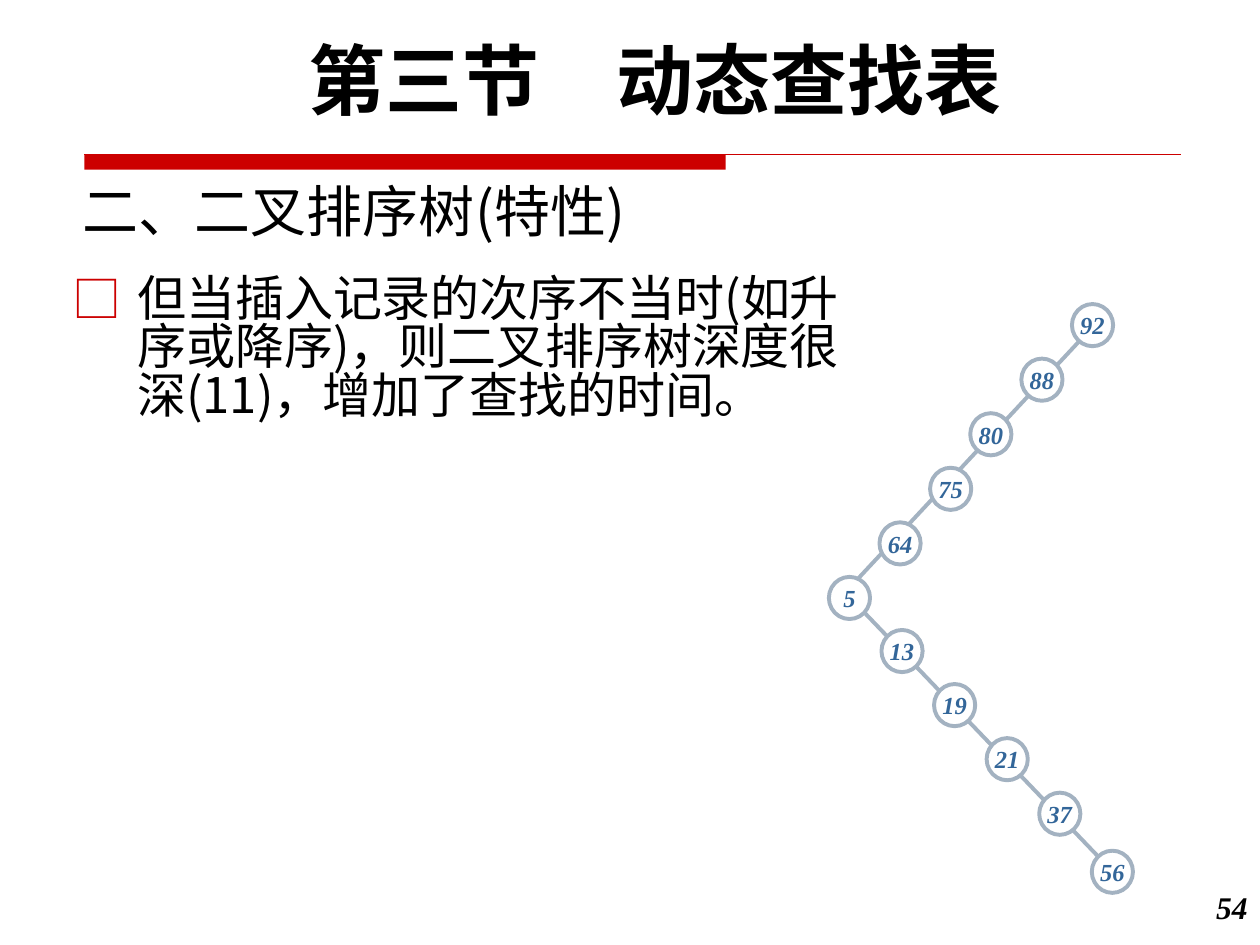
from lxml import etree
from pptx import Presentation
from pptx import util as u
from pptx.dml.color import RGBColor
from pptx.enum import shapes, text
from pptx.oxml import ns

BLACK = RGBColor(0x00, 0x00, 0x00)
WHITE = RGBColor(0xFF, 0xFF, 0xFF)
RED = RGBColor(0xCC, 0x00, 0x00)
EDGE = RGBColor(0xA3, 0xB2, 0xC1)
BLUE = RGBColor(0x33, 0x66, 0x99)
SANS = "Noto Sans CJK SC"
SERIF = "Times New Roman"
HEADING = "Cabin"


def write(box, words, size, font, color=BLACK, bold=False, italic=False,
          align=text.PP_ALIGN.LEFT, anchor=text.MSO_ANCHOR.TOP, wrap=True):
    """Write one formatted paragraph into a shape and return it."""
    frame = box.text_frame
    frame.word_wrap = wrap
    frame.vertical_anchor = anchor
    para = frame.paragraphs[0]
    para.alignment = align
    span = para.add_run()
    span.text = words
    span.font.size = u.Pt(size)
    span.font.name = font
    span.font.bold = bold
    span.font.italic = italic
    span.font.color.rgb = color
    east = etree.SubElement(span.font._element, ns.qn("a:ea"))
    east.set("typeface", font)
    return para


def add_text(page, left, top, width, height, words, **style):
    """Add a text box, sized in centimetres, and return its paragraph."""
    box = page.shapes.add_textbox(u.Cm(left), u.Cm(top), u.Cm(width), u.Cm(height))
    return write(box, words, **style)


def add_line(page, start, end, color, weight):
    """Draw a straight line between two points in centimetres."""
    ends = [u.Cm(value) for value in (*start, *end)]
    line = page.shapes.add_connector(shapes.MSO_CONNECTOR.STRAIGHT, *ends)
    line.line.color.rgb = color
    line.line.width = u.Pt(weight)
    etree.SubElement(line._element.spPr, ns.qn("a:effectLst"))


def add_rule(page, left, top, width):
    """Draw the thick bar and the thin line under the heading."""
    bar = page.shapes.add_shape(shapes.MSO_SHAPE.RECTANGLE, u.Cm(left), u.Cm(top),
                                u.Cm(width * 0.585), u.Cm(0.3))
    bar.shadow.inherit = False
    bar.fill.solid()
    bar.fill.fore_color.rgb = RED
    bar.line.fill.background()
    add_line(page, (left, top), (left + width, top), RED, 0.75)


def add_body(page, left, top, width, height, words):
    """Add the paragraph with its hollow square bullet."""
    para = add_text(page, left, top, width, height, words, size=28, font=SANS)
    para.line_spacing = 0.83
    props = para._p.get_or_add_pPr()
    props.set("marL", str(u.Cm(1.3)))
    props.set("indent", str(-u.Cm(1.3)))
    tint = etree.SubElement(props, ns.qn("a:buClr"))
    etree.SubElement(tint, ns.qn("a:srgbClr")).set("val", str(RED))
    etree.SubElement(props, ns.qn("a:buFont")).set("typeface", SANS)
    etree.SubElement(props, ns.qn("a:buChar")).set("char", "□")


def add_node(page, left, top, key):
    """Draw one tree node with its key."""
    node = page.shapes.add_shape(shapes.MSO_SHAPE.OVAL, u.Cm(left), u.Cm(top),
                                 u.Cm(0.83), u.Cm(0.85))
    node.shadow.inherit = False
    node.fill.solid()
    node.fill.fore_color.rgb = WHITE
    node.line.color.rgb = EDGE
    node.line.width = u.Pt(2.25)
    write(node, str(key), 14, SERIF, BLUE, bold=True, italic=True, wrap=False,
          align=text.PP_ALIGN.CENTER, anchor=text.MSO_ANCHOR.MIDDLE)


def add_tree(page, left, top):
    """Draw the degenerate tree: one arm up and one arm down from key 5."""
    add_line(page, (left + 5.11, top + 0.66), (left + 0.21, top + 5.92), EDGE, 2.25)
    add_line(page, (left + 0.64, top + 6.12), (left + 5.46, top + 11.15), EDGE, 2.25)
    rising = zip((5, 64, 75, 80, 88, 92), (0, 1.02, 2.04, 2.85, 3.88, 4.9))
    for step, (key, across) in enumerate(rising):
        add_node(page, left + across, top + 5.48 - 1.1 * step, key)
    falling = zip((13, 19, 21, 37, 56), (6.55, 7.64, 8.73, 9.83, 11))
    for step, (key, down) in enumerate(falling, 1):
        add_node(page, left + 1.06 * step, top + down, key)


def main():
    """Build and save the deck."""
    deck = Presentation()
    deck.slide_width, deck.slide_height = u.Cm(25.4), u.Cm(19.05)
    page = deck.slides.add_slide(deck.slide_layouts[6])
    add_rule(page, 1.7, 3.12, 22.1)
    add_text(page, 1.42, 3.12, 21.87, 1.91, "二、二叉排序树(特性)", size=32,
             font=SANS, anchor=text.MSO_ANCHOR.BOTTOM)
    add_text(page, 23.7, 17.78, 1.7, 1.27, "54", size=18, font=SERIF,
             bold=True, italic=True, align=text.PP_ALIGN.RIGHT)
    add_body(page, 1.22, 5.46, 16.89, 3.99,
             "但当插入记录的次序不当时(如升序或降序)，则二叉排序树深度很深(11)，增加了查找的时间。")
    add_tree(page, 16.71, 6.15)
    add_text(page, 1.47, 0.53, 23.5, 2.13, "第三节　动态查找表", size=44,
             font=HEADING, bold=True, align=text.PP_ALIGN.CENTER)
    deck.save("out.pptx")


if __name__ == "__main__":
    main()
